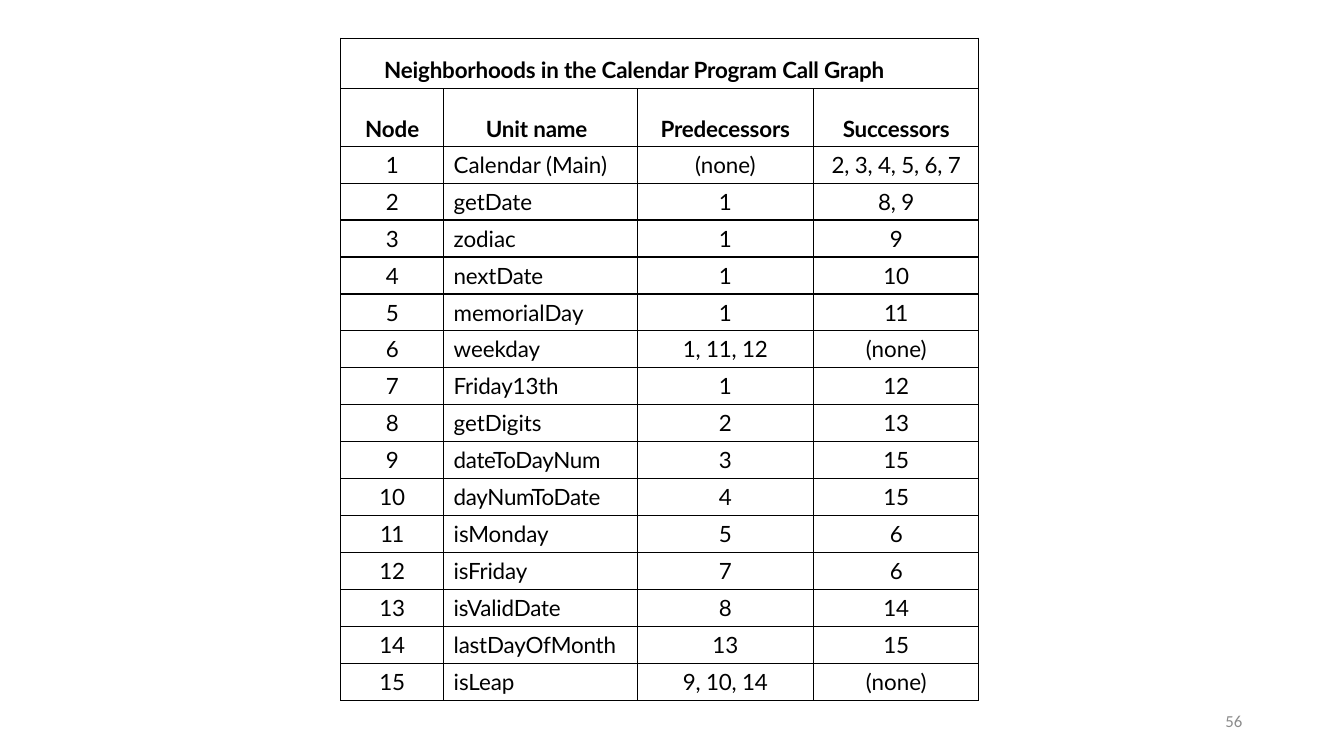
from dataclasses import dataclass

from lxml.etree import SubElement
from pptx import Presentation
from pptx.dml.color import RGBColor
from pptx.enum.text import MSO_ANCHOR, PP_ALIGN
from pptx.oxml.ns import qn
from pptx.util import Inches, Pt


@dataclass(frozen=True)
class Theme:
    """Colours, fonts and type sizes of the deck."""
    ink: str = "000000"
    muted: str = "8C8C8C"
    table_font: str = "Lato"
    number_font: str = "Calibri"
    table_size: int = 16
    number_size: int = 12
    border: int = 1


THEME = Theme()
WIDTH, HEIGHT = Inches(13.33), Inches(7.5)

# Percentages of the slide's width and height
TABLE_LEFT, TABLE_TOP = 25.36, 5.07
COLUMNS = [7.65, 14.4, 13.13, 12.3]
TITLE_ROW, HEADER_ROW, BODY_ROW = 6.67, 7.6, 4.89
TITLE_INSET, HEADER_INSET, BODY_INSET = 2.4, 3.5, 0.67
TITLE_INDENT, HEADER_INDENT, NAME_INDENT = 3.23, 3.15, 0.75
NAME_COLUMN = 1

TITLE = "Neighborhoods in the Calendar Program Call Graph"
HEADERS = ["Node", "Unit name", "Predecessors", "Successors"]
UNITS = [
    ("Calendar (Main)", "(none)", "2, 3, 4, 5, 6, 7"),
    ("getDate", "1", "8, 9"),
    ("zodiac", "1", "9"),
    ("nextDate", "1", "10"),
    ("memorialDay", "1", "11"),
    ("weekday", "1, 11, 12", "(none)"),
    ("Friday13th", "1", "12"),
    ("getDigits", "2", "13"),
    ("dateToDayNum", "3", "15"),
    ("dayNumToDate", "4", "15"),
    ("isMonday", "5", "6"),
    ("isFriday", "7", "6"),
    ("isValidDate", "8", "14"),
    ("lastDayOfMonth", "13", "15"),
    ("isLeap", "9, 10, 14", "(none)"),
]
# Letter spacing in hundredths of a point
TRACKING = {
    "11": -120, "dateToDayNum": -20, "dayNumToDate": -20,
    **dict.fromkeys([TITLE, *HEADERS[1:], "nextDate", "Friday13th", "isFriday",
                     "isValidDate", "lastDayOfMonth"], -10),
}


def across(percent):
    """Turn a percentage of the slide's width into a length."""
    return int(WIDTH * percent / 100)


def down(percent):
    """Turn a percentage of the slide's height into a length."""
    return int(HEIGHT * percent / 100)


def write(frame, text, *, font=THEME.table_font, size=THEME.table_size,
          color=THEME.ink, bold=False, align=PP_ALIGN.LEFT, tracking=0):
    """Write one formatted paragraph into a text frame."""
    para = frame.paragraphs[0]
    para.alignment = align
    span = para.add_run()
    span.text = text
    span.font.name = font
    span.font.size = Pt(size)
    span.font.bold = bold
    span.font.color.rgb = RGBColor.from_string(color)
    if tracking:
        span.font._element.set("spc", str(tracking))


def draw_borders(cell):
    """Give a cell a solid line on all four sides."""
    properties = cell._tc.get_or_add_tcPr()
    for side in ("lnL", "lnR", "lnT", "lnB"):
        line = SubElement(properties, qn(f"a:{side}"), w=str(Pt(THEME.border)))
        fill = SubElement(line, qn("a:solidFill"))
        SubElement(fill, qn("a:srgbClr"), val=THEME.ink)


def fill_cell(cell, text, *, inset, indent=None, bold=False):
    """Write a cell's text: indented if an indent is given, else centred."""
    cell.margin_left = across(indent or 0)
    cell.margin_top = down(inset)
    cell.margin_right = cell.margin_bottom = 0
    cell.vertical_anchor = MSO_ANCHOR.TOP
    align = PP_ALIGN.CENTER if indent is None else PP_ALIGN.LEFT
    tracking = TRACKING.get(text, -10 if "," in text else 0)
    write(cell.text_frame, text, bold=bold, align=align, tracking=tracking)


def fill_row(table, row, texts, *, name_indent, **form):
    """Fill a table row, indenting the unit name column."""
    for column, text in enumerate(texts):
        indent = name_indent if column == NAME_COLUMN else None
        fill_cell(table.cell(row, column), text, indent=indent, **form)


def add_call_table(page):
    """Add the table of predecessors and successors of each unit."""
    heights = [TITLE_ROW, HEADER_ROW] + [BODY_ROW] * len(UNITS)
    frame = page.shapes.add_table(
        len(heights), len(COLUMNS), across(TABLE_LEFT), down(TABLE_TOP),
        across(sum(COLUMNS)), down(sum(heights)))
    table = frame.table
    table.first_row = table.horz_banding = False
    for column, width in zip(table.columns, COLUMNS):
        column.width = across(width)
    for row, height in zip(table.rows, heights):
        row.height = down(height)
    for cell in table.iter_cells():
        draw_borders(cell)
        cell.fill.background()

    title = table.cell(0, 0)
    title.merge(table.cell(0, len(COLUMNS) - 1))
    fill_cell(title, TITLE, inset=TITLE_INSET, indent=TITLE_INDENT, bold=True)
    fill_row(table, 1, HEADERS, name_indent=HEADER_INDENT,
             inset=HEADER_INSET, bold=True)
    for node, unit in enumerate(UNITS, start=1):
        fill_row(table, node + 1, [str(node), *unit],
                 name_indent=NAME_INDENT, inset=BODY_INSET)


def add_page_number(page, text):
    """Add the page number at the bottom right."""
    box = page.shapes.add_textbox(across(70.67), down(92.67),
                                  across(22.5), down(5.33))
    frame = box.text_frame
    frame.word_wrap = True
    frame.vertical_anchor = MSO_ANCHOR.MIDDLE
    write(frame, text, font=THEME.number_font, size=THEME.number_size,
          color=THEME.muted, align=PP_ALIGN.RIGHT)


def main():
    """Build the slide and save it."""
    deck = Presentation()
    deck.slide_width, deck.slide_height = WIDTH, HEIGHT
    page = deck.slides.add_slide(deck.slide_layouts[6])
    add_page_number(page, "56")
    add_call_table(page)
    deck.save("out.pptx")


main()
